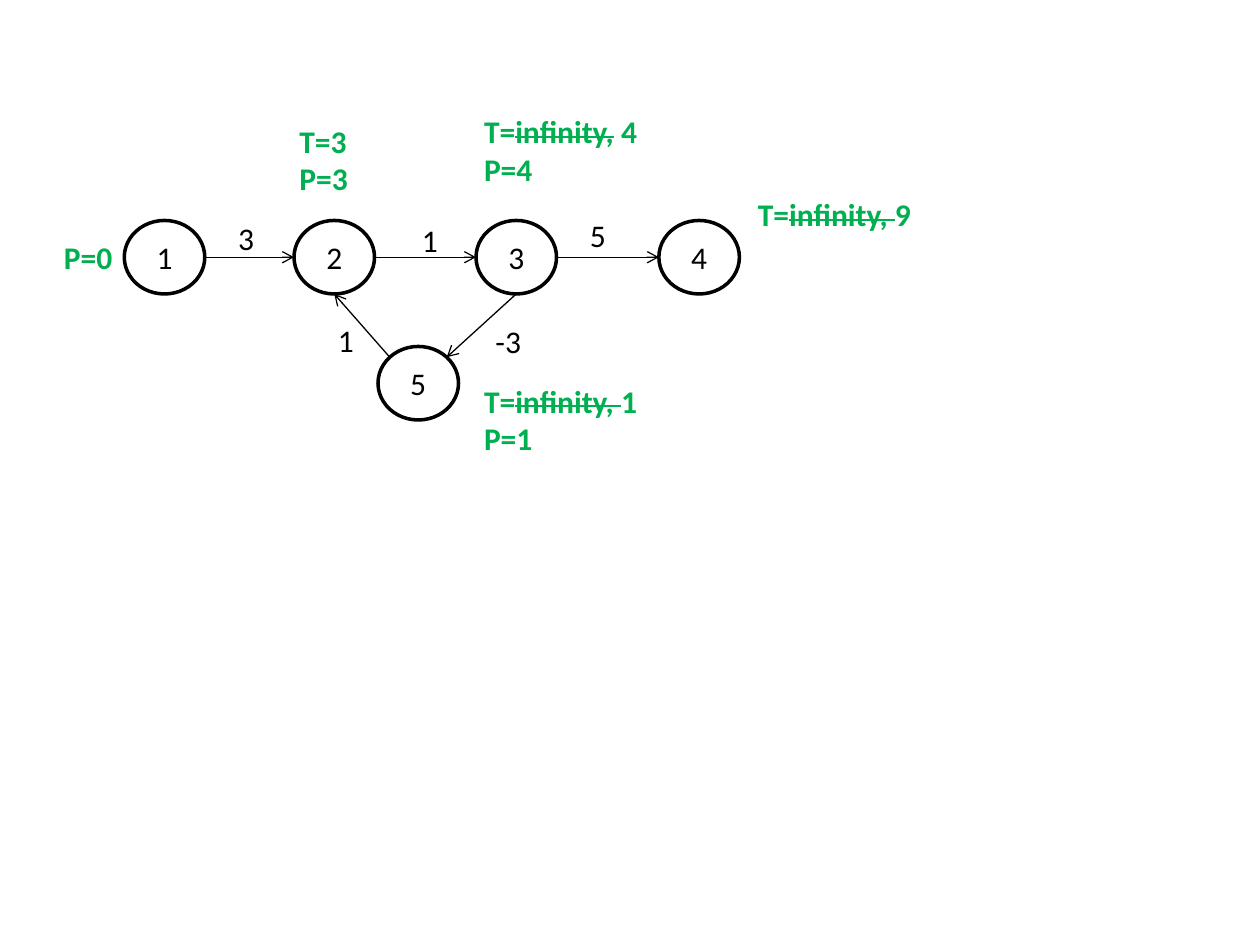
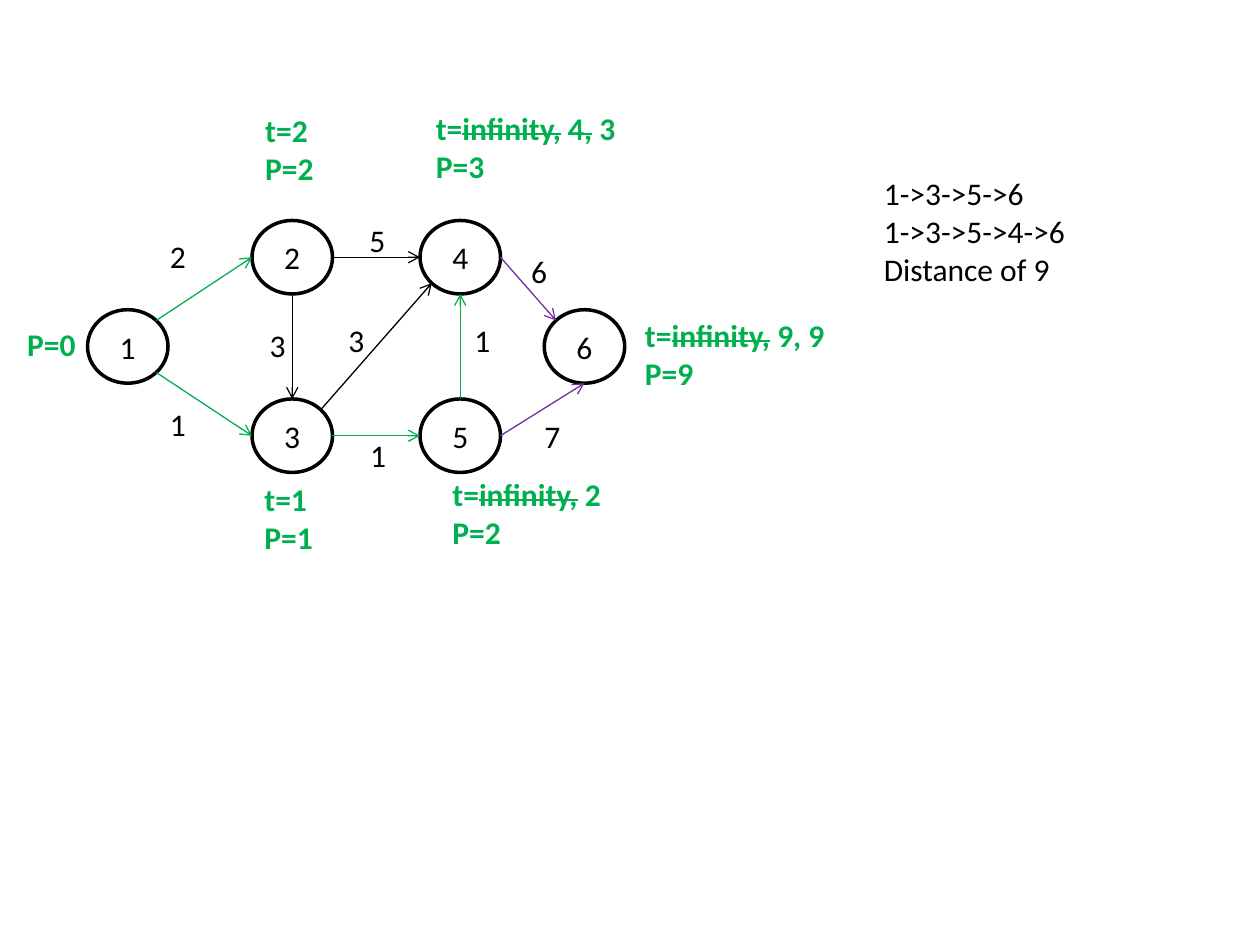
"""Build two slides that trace shortest paths through weighted graphs."""
from math import sqrt
from lxml.etree import SubElement
from pptx import Presentation
from pptx.dml.color import RGBColor
from pptx.enum.shapes import MSO_CONNECTOR, MSO_SHAPE
from pptx.enum.text import MSO_ANCHOR, MSO_AUTO_SIZE, PP_ALIGN
from pptx.oxml.ns import qn
from pptx.util import Pt

BLACK, WHITE, GREEN, PURPLE = "000000", "FFFFFF", "00B050", "7030A0"
WIDE, HIGH = 46, 42
DIAG = sqrt(0.5)
SITES = {
    "N": (0, -1), "S": (0, 1), "W": (-1, 0), "E": (1, 0),
    "NW": (-DIAG, -DIAG), "NE": (DIAG, -DIAG),
    "SW": (-DIAG, DIAG), "SE": (DIAG, DIAG),
}


def paint(color, tint):
    color.rgb = RGBColor.from_string(tint)


def write(frame, text, tint=BLACK, bold=False, align=PP_ALIGN.LEFT):
    """Fill a frame line by line, striking out the parts between tildes."""
    frame.word_wrap = True
    for row, line in enumerate(text.split("\n")):
        para = frame.add_paragraph() if row else frame.paragraphs[0]
        para.alignment = align
        for part, words in enumerate(line.split("~")):
            if not words:
                continue
            run = para.add_run()
            run.text = words
            run.font.name = "Calibri"
            run.font.size = Pt(18)
            run.font.bold = bold
            paint(run.font.color, tint)
            if part % 2:
                run.font._element.set("strike", "sngStrike")


# nodes: name -> left, top; edges: from, site, to, site, tint
# costs: left, top, text; notes: left, top, width, text, tint, bold
graphs = [
    {
        "nodes": {"1": (71, 126), "2": (168, 126), "5": (216, 198),
                  "3": (272, 126), "4": (376.5, 126)},
        "edges": [
            ("1", "E", "2", "W", BLACK), ("2", "E", "3", "W", BLACK),
            ("3", "S", "5", "NE", BLACK), ("3", "E", "4", "W", BLACK),
            ("5", "NW", "2", "S", BLACK),
        ],
        "costs": [(129, 121.5, "3"), (186, 180, "1"), (234, 123, "1"),
                  (330, 120, "5"), (276, 180.5, "-3")],
        "notes": [
            (29.5, 132.5, 44, "P=0", GREEN, True),
            (164, 66, 44, "T=3\nP=3", GREEN, True),
            (269.5, 60.5, 109, "T=~infinity,~ 4\nP=4", GREEN, True),
            (426, 108, 114, "T=~infinity, ~9", GREEN, True),
            (269.5, 214.5, 109, "T=~infinity, ~1\nP=1", GREEN, True),
        ],
    },
    {
        "nodes": {"1": (50, 177), "2": (144, 126), "3": (144, 228),
                  "4": (240, 126), "5": (240, 228), "6": (311, 177)},
        "edges": [
            ("1", "NE", "2", "W", GREEN), ("1", "SE", "3", "W", GREEN),
            ("2", "E", "4", "W", BLACK), ("3", "NE", "4", "SW", BLACK),
            ("2", "S", "3", "N", BLACK), ("3", "E", "5", "W", GREEN),
            ("5", "N", "4", "S", GREEN), ("4", "E", "6", "NW", PURPLE),
            ("5", "E", "6", "S", PURPLE),
        ],
        "costs": [(90, 132, "2"), (90, 228, "1"), (147, 183, "3"),
                  (204, 122.5, "5"), (192, 180, "3"), (204.5, 245.5, "1"),
                  (264, 180, "1"), (296.5, 140.5, "6"), (304, 234.5, "7")],
        "notes": [
            (8.5, 182, 44, "P=0", GREEN, True),
            (144.5, 60, 44, "t=2\nP=2", GREEN, True),
            (144, 271, 44, "t=1\nP=1", GREEN, True),
            (242, 59, 124, "t=~infinity,~ ~4,~ 3\nP=3", GREEN, True),
            (361.5, 177, 124, "t=~infinity,~ 9, 9\nP=9", GREEN, True),
            (251.5, 268, 124, "t=~infinity,~ 2\nP=2", GREEN, True),
            (498, 96, 210, "1->3->5->6\n1->3->5->4->6\nDistance of 9",
             BLACK, False),
        ],
    },
]

deck = Presentation()
deck.slide_width, deck.slide_height = Pt(720), Pt(540)

for graph in graphs:
    slide = deck.slides.add_slide(deck.slide_layouts[6])
    shapes = slide.shapes

    for name, (left, top) in graph["nodes"].items():
        node = shapes.add_shape(
            MSO_SHAPE.OVAL, Pt(left), Pt(top), Pt(WIDE), Pt(HIGH))
        node.shadow.inherit = False
        node.fill.solid()
        paint(node.fill.fore_color, WHITE)
        paint(node.line.color, BLACK)
        node.line.width = Pt(2)
        node.text_frame.vertical_anchor = MSO_ANCHOR.MIDDLE
        write(node.text_frame, name, align=PP_ALIGN.CENTER)

    for start, leave, end, reach, tint in graph["edges"]:
        ends = []
        for name, site in ((start, leave), (end, reach)):
            left, top = graph["nodes"][name]
            across, down = SITES[site]
            ends += [Pt(left + WIDE / 2 * (1 + across)),
                     Pt(top + HIGH / 2 * (1 + down))]
        edge = shapes.add_connector(MSO_CONNECTOR.STRAIGHT, *ends)
        paint(edge.line.color, tint)
        edge.line.width = Pt(0.75)
        SubElement(edge.line._get_or_add_ln(), qn("a:tailEnd"), type="arrow")
        SubElement(edge._element.spPr, qn("a:effectLst"))

    costs = [(left, top, 18 + 12 * len(text), text, BLACK, False)
             for left, top, text in graph["costs"]]
    for left, top, width, text, tint, bold in costs + graph["notes"]:
        high = 7 + 22 * len(text.split("\n"))
        box = shapes.add_textbox(Pt(left), Pt(top), Pt(width), Pt(high))
        box.text_frame.auto_size = MSO_AUTO_SIZE.SHAPE_TO_FIT_TEXT
        write(box.text_frame, text, tint, bold)

deck.save("out.pptx")
